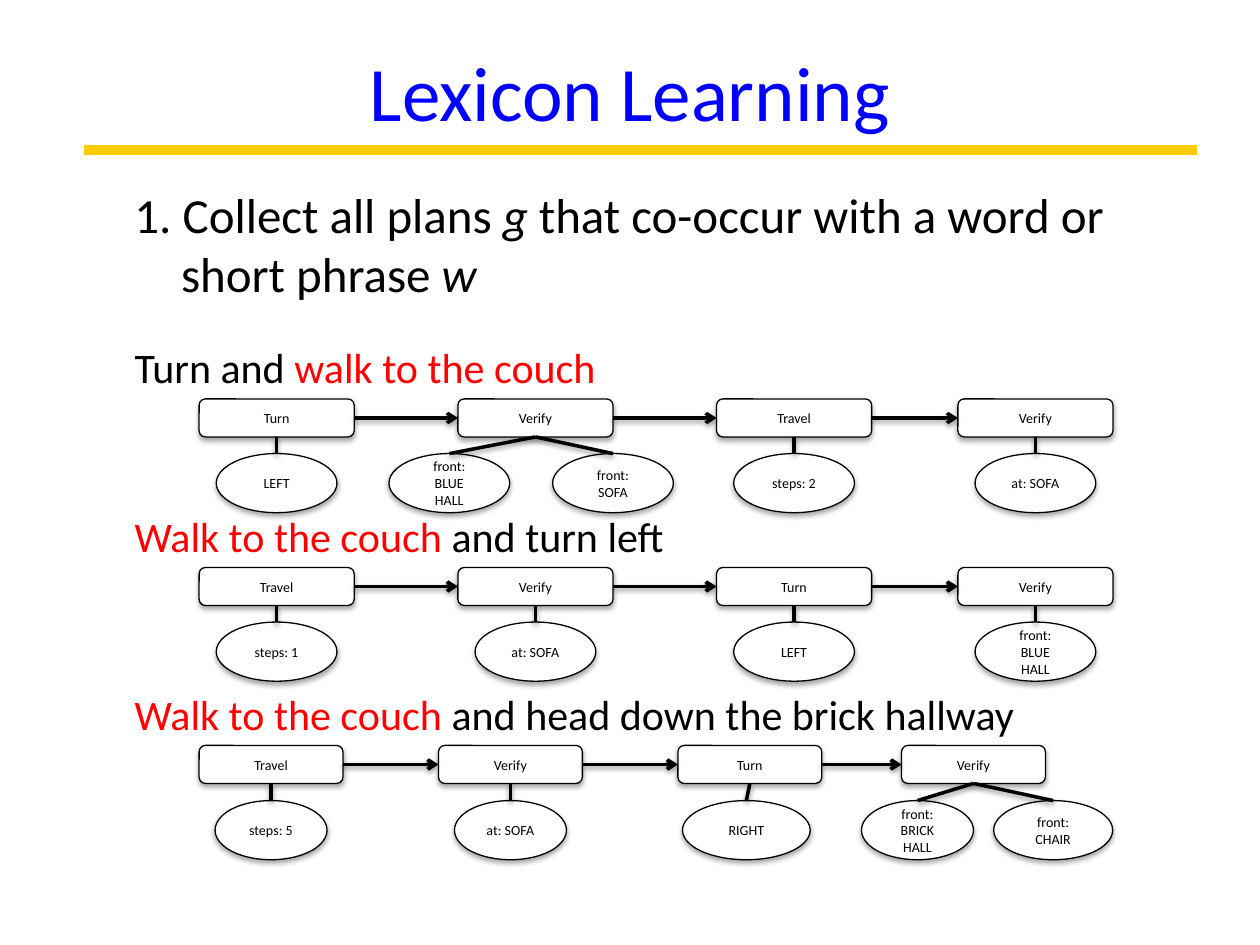
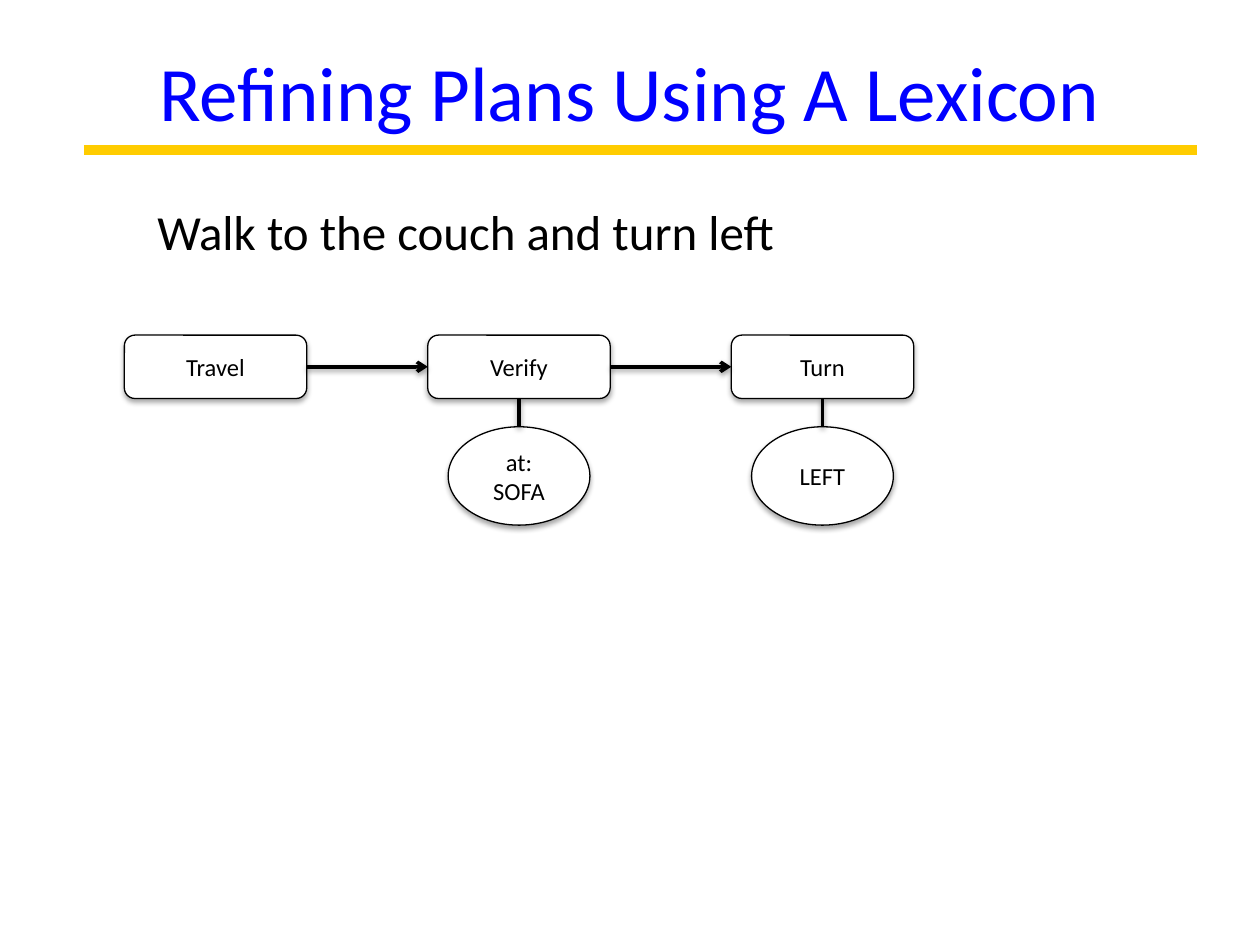
import pptx
import pptx.dml.color
import pptx.enum.shapes
import pptx.enum.text
import pptx.oxml
import pptx.oxml.ns
import pptx.util

Pt = pptx.util.Pt
FONT = "Calibri"
COLORS = {"title": "0000FF", "rule": "FFCC00", "text": "000000",
          "phrase": "FF0000", "paper": "FFFFFF"}
COLORS = {name: pptx.dml.color.RGBColor.from_string(value)
          for name, value in COLORS.items()}
NODE_SHADOW = (35, 1.8)
LINK_SHADOW = (38, 1.6)


def add_runs(para, size, runs):
    """Add (text, colour name, italic) runs to a paragraph."""
    for text, color, italic in runs:
        span = para.add_run()
        span.text = text
        span.font.name = FONT
        span.font.size = Pt(size)
        span.font.italic = italic
        span.font.color.rgb = COLORS[color]


def set_shadow(shape, opacity=0, distance=0):
    """Replace the theme shadow by a soft one below, or by none."""
    properties = shape._element.spPr
    shadow = ""
    if opacity:
        shadow = (f'<a:outerShdw blurRad="{Pt(3.1)}" dist="{Pt(distance)}" dir="5400000" '
                  f'rotWithShape="0"><a:srgbClr val="{COLORS["text"]}">'
                  f'<a:alpha val="{opacity * 1000}"/></a:srgbClr></a:outerShdw>')
    properties.append(pptx.oxml.parse_xml(
        f'<a:effectLst {pptx.oxml.ns.nsdecls("a")}>{shadow}</a:effectLst>'))


# A step is (action, leaves); a leaf is (lines, shift from the box centre, width).
# A width of None takes the leaf width of the plan.
PAGES = [
    {
        "title": "Lexicon Learning",
        "texts": [
            (69.8, 102.2, 588.2, 74.9, 28, 26.6, [
                ("1. Collect all plans ", "text", False),
                ("g", "text", True),
                (" that co-occur with a word or short phrase ", "text", False),
                ("w", "text", True)]),
            (69.8, 191.5, 330.5, 36, 24, 0, [
                ("Turn and ", "text", False),
                ("walk to the couch", "phrase", False)]),
            (69.8, 288, 330.5, 36, 24, 0, [
                ("Walk to the couch ", "phrase", False),
                ("and turn left", "text", False)]),
            (69.8, 389.8, 598.3, 36, 24, 0, [
                ("Walk to the couch ", "phrase", False),
                ("and head down the brick hallway", "text", False)]),
        ],
        "plans": [
            {"top": 228, "lefts": [113.8, 261.7, 409.5, 547.4],
             "box": (88.6, 21.7), "leaf": (69, 33.8), "drop": 31.2, "size": 8,
             "steps": [
                 ("Turn", [(["LEFT"], 0, None)]),
                 ("Verify", [(["front: BLUE", "HALL"], -49.2, None),
                             (["front: SOFA"], 44.3, None)]),
                 ("Travel", [(["steps: 2"], 0, None)]),
                 ("Verify", [(["at: SOFA"], 0, None)])]},
            {"top": 324.3, "lefts": [113.8, 261.7, 409.5, 547.4],
             "box": (88.6, 21.7), "leaf": (69, 33.8), "drop": 31.2, "size": 8,
             "steps": [
                 ("Travel", [(["steps: 1"], 0, None)]),
                 ("Verify", [(["at: SOFA"], 0, None)]),
                 ("Turn", [(["LEFT"], 0, None)]),
                 ("Verify", [(["front: BLUE", "HALL"], 0, None)])]},
            {"top": 426, "lefts": [113.8, 250.6, 387.4, 515.2],
             "box": (82.2, 21.7), "leaf": (64, 33.8), "drop": 31.5, "size": 8,
             "steps": [
                 ("Travel", [(["steps: 5"], 0, None)]),
                 ("Verify", [(["at: SOFA"], 0, None)]),
                 ("Turn", [(["RIGHT"], -2, 73)]),
                 ("Verify", [(["front: BRICK HALL"], -32, None),
                             (["front: CHAIR"], 45.5, 68)])]},
        ],
    },
    {
        "title": "Refining Plans Using A Lexicon",
        "texts": [
            (82.8, 111.6, 475.2, 41, 28, 0, [
                ("Walk to the couch and turn left", "text", False)]),
        ],
        "plans": [
            {"top": 191.5, "lefts": [71.1, 244.5, 417.9],
             "box": (104.2, 36.2), "leaf": (81, 56.2), "drop": 52.4, "size": 14,
             "steps": [
                 ("Travel", []),
                 ("Verify", [(["at: SOFA"], 0, None)]),
                 ("Turn", [(["LEFT"], 0, None)])]},
        ],
    },
]

SHAPES = pptx.enum.shapes.MSO_SHAPE
STRAIGHT = pptx.enum.shapes.MSO_CONNECTOR.STRAIGHT
CENTER = pptx.enum.text.PP_ALIGN.CENTER
MIDDLE = pptx.enum.text.MSO_ANCHOR.MIDDLE
TOP, LEFT, BOTTOM, RIGHT = range(4)

deck = pptx.Presentation()
deck.slide_width, deck.slide_height = Pt(720), Pt(540)

for content in PAGES:
    page = deck.slides.add_slide(deck.slide_layouts[5])

    title = page.shapes.title
    title.left, title.top, title.width, title.height = Pt(36), Pt(18), Pt(648), Pt(67.5)
    title.text_frame.vertical_anchor = MIDDLE
    para = title.text_frame.paragraphs[0]
    para.alignment = CENTER
    add_runs(para, 44, [(content["title"], "title", False)])

    rule = page.shapes.add_connector(STRAIGHT, Pt(48), Pt(85.8), Pt(684), Pt(85.8))
    rule.line.color.rgb = COLORS["rule"]
    rule.line.width = Pt(6)
    set_shadow(rule)

    for plan in content["plans"]:
        group = page.shapes.add_group_shape()
        nodes, links = [], []
        box_width, box_height = plan["box"]
        leaf_width, leaf_height = plan["leaf"]
        previous = None
        for left, (action, leaves) in zip(plan["lefts"], plan["steps"]):
            box = group.shapes.add_shape(SHAPES.ROUNDED_RECTANGLE, Pt(left), Pt(plan["top"]),
                                         Pt(box_width), Pt(box_height))
            nodes.append((box, [action]))
            if previous is not None:
                links.append((previous, RIGHT, box, LEFT))
            previous = box
            for lines, shift, width in leaves:
                width = width or leaf_width
                leaf_left = left + box_width / 2 + shift - width / 2
                leaf = group.shapes.add_shape(SHAPES.OVAL, Pt(leaf_left),
                                              Pt(plan["top"] + plan["drop"]),
                                              Pt(width), Pt(leaf_height))
                nodes.append((leaf, lines))
                links.append((box, BOTTOM, leaf, TOP))

        for node, lines in nodes:
            node.fill.solid()
            node.fill.fore_color.rgb = COLORS["paper"]
            node.line.color.rgb = COLORS["text"]
            node.line.width = Pt(0.75)
            set_shadow(node, *NODE_SHADOW)
            frame = node.text_frame
            frame.word_wrap = True
            frame.vertical_anchor = MIDDLE
            for number, line in enumerate(lines):
                para = frame.add_paragraph() if number else frame.paragraphs[0]
                para.alignment = CENTER
                add_runs(para, plan["size"], [(line, "text", False)])

        for start, start_side, end, end_side in links:
            link = group.shapes.add_connector(STRAIGHT, start.left, start.top, end.left, end.top)
            link.begin_connect(start, start_side)
            link.end_connect(end, end_side)
            link.line.color.rgb = COLORS["text"]
            link.line.width = Pt(2)
            if end_side == LEFT:
                link.line._get_or_add_ln().append(pptx.oxml.parse_xml(
                    f'<a:tailEnd {pptx.oxml.ns.nsdecls("a")} type="arrow"/>'))
            set_shadow(link, *LINK_SHADOW)

    for left, top, width, height, size, indent, runs in content["texts"]:
        box = page.shapes.add_textbox(Pt(left), Pt(top), Pt(width), Pt(height))
        box.text_frame.word_wrap = True
        para = box.text_frame.paragraphs[0]
        if indent:
            para_properties = para._p.get_or_add_pPr()
            para_properties.set("marL", str(Pt(indent)))
            para_properties.set("indent", str(-Pt(indent)))
        add_runs(para, size, runs)

deck.save("out.pptx")
